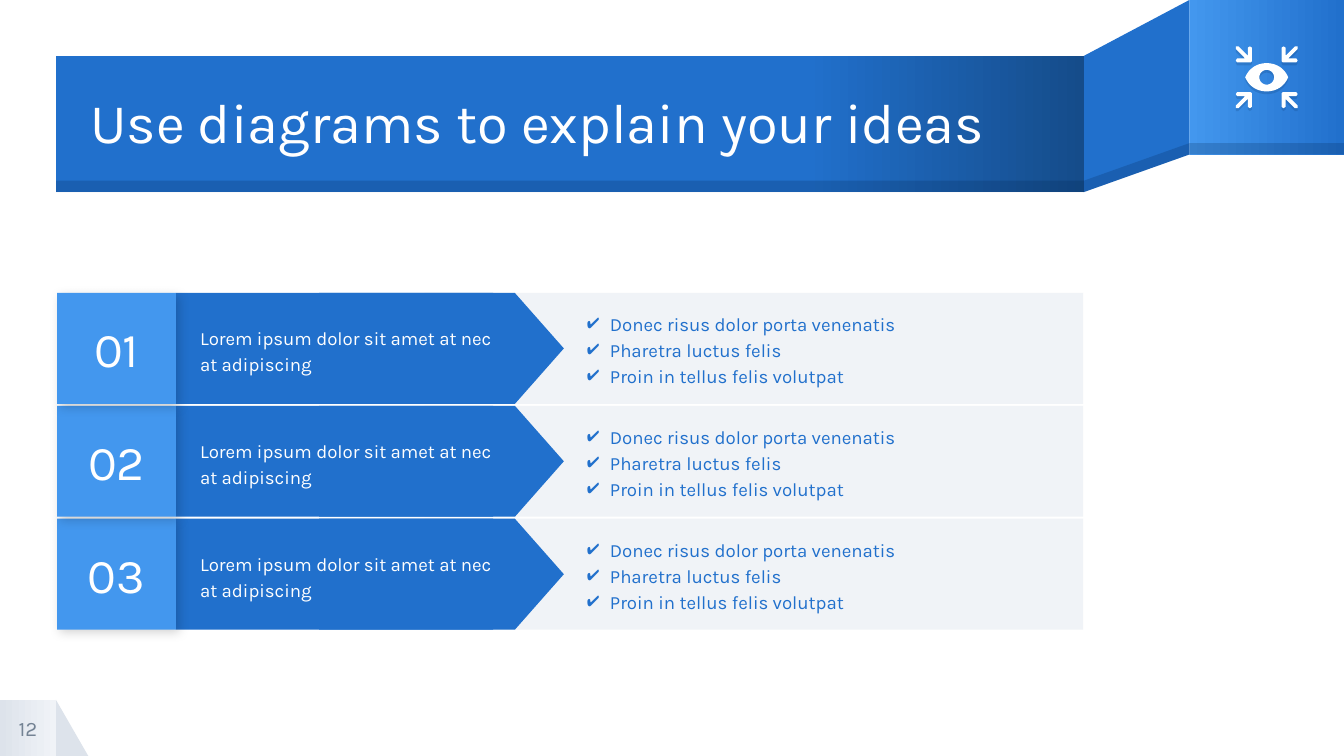
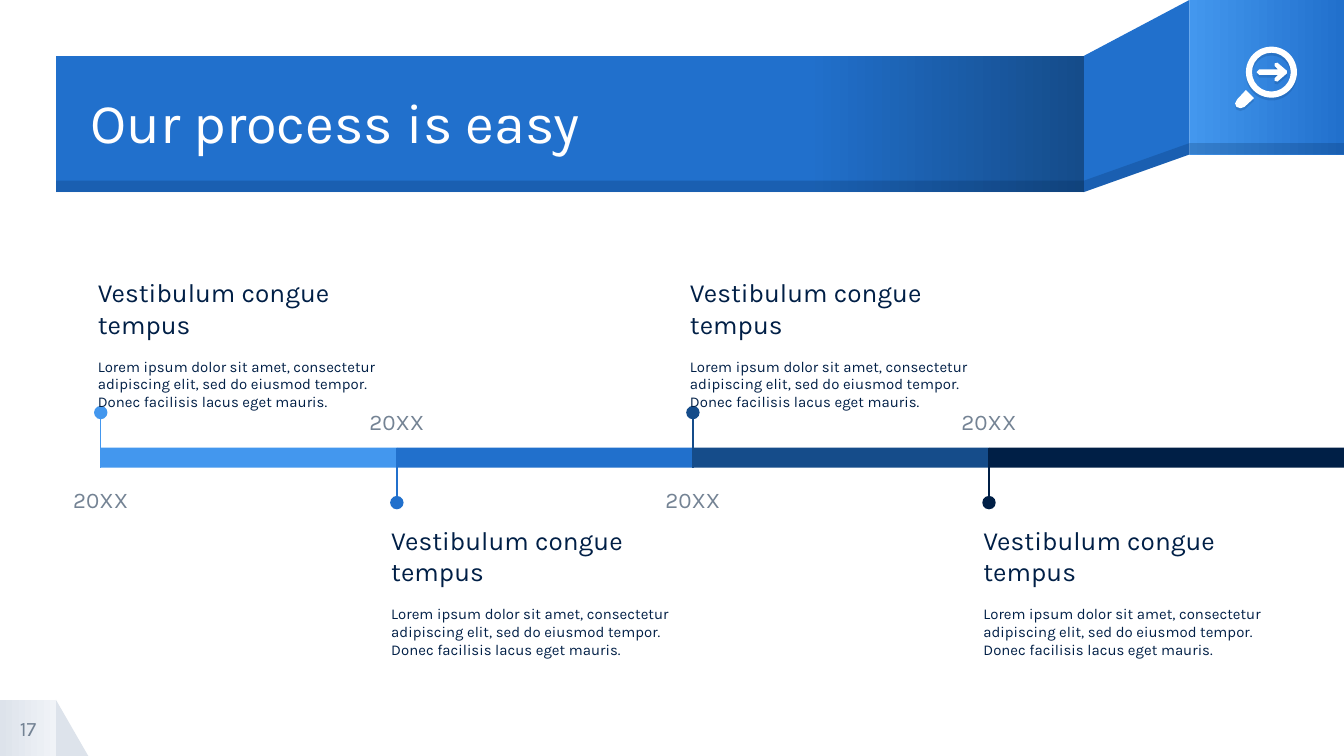
import math

import pptx
import pptx.util
from lxml import etree
from pptx.dml.color import RGBColor
from pptx.enum.shapes import MSO_CONNECTOR, MSO_SHAPE
from pptx.enum.text import MSO_ANCHOR, MSO_AUTO_SIZE, PP_ALIGN
from pptx.oxml.ns import qn

COLORS = {
    "white": "FFFFFF", "sky": "4397EE", "blue": "2170CC", "deep": "154C8A",
    "navy": "001F46", "pale": "F0F3F7", "mist": "DDE3EB", "gray": "748394",
    "black": "000000",
}
FONT = "Karla"

# Square grid: 100 columns across the slide, 56.25 rows down
COLUMNS, ROWS = 100, 56.25
CELL = pptx.util.Inches(0.1)

# Title band
BAND_LEFT, BAND_TOP, BAND_BOTTOM = 4.17, 4.17, 14.3
FOLD_LEFT, FOLD_RIGHT, PANEL_BOTTOM = 80.63, 88.5, 11.5
EDGE = 0.85
BAND_WIDTH = FOLD_LEFT - BAND_LEFT
PANEL_WIDTH = COLUMNS - FOLD_RIGHT
CORNER = 4.17


def grid(*cells):
    return [round(cell * CELL) for cell in cells]


def rgb(color):
    return RGBColor.from_string(COLORS[color])


# Fills and effects
def add_color(parent, color, alpha=None):
    element = etree.SubElement(parent, qn("a:srgbClr"), val=COLORS[color])
    if alpha is not None:
        etree.SubElement(element, qn("a:alpha"), val=str(alpha * 1000))


def paint(shape, color, alpha=None):
    """Fill with one colour, or with a list of (percent, colour) stops."""
    shape.shadow.inherit = False
    shape.line.fill.background()
    if isinstance(color, list):
        shape.fill.gradient()
        shape.fill.gradient_angle = 0
        stops = shape._element.spPr.find(".//" + qn("a:gsLst"))
        for stop in list(stops):
            stops.remove(stop)
        for percent, name in color:
            add_color(etree.SubElement(stops, qn("a:gs"), pos=str(percent * 1000)), name)
        return
    shape.fill.solid()
    shape.fill.fore_color.rgb = rgb(color)
    if alpha is not None:
        value = shape._element.spPr.find(qn("a:solidFill")).find(qn("a:srgbClr"))
        etree.SubElement(value, qn("a:alpha"), val=str(alpha * 1000))


def add_shadow(shape, color, alpha, blur, distance, angle):
    effects = shape._element.spPr.find(qn("a:effectLst"))
    shadow = etree.SubElement(
        effects, qn("a:outerShdw"), blurRad=str(pptx.util.Pt(blur)),
        dist=str(pptx.util.Pt(distance)), dir=str(angle * 60000),
        algn="bl", rotWithShape="0")
    add_color(shadow, color, alpha)


# Shapes
def add_block(slide, box, color, kind=MSO_SHAPE.RECTANGLE, alpha=None):
    shape = slide.shapes.add_shape(kind, *grid(*box))
    paint(shape, color, alpha)
    return shape


def add_outline(slide, contours, color, alpha=None):
    builder = None
    for contour in contours:
        points = [grid(*point) for point in contour]
        if builder is None:
            builder = slide.shapes.build_freeform(*points[0], scale=1.0)
        else:
            builder.move_to(*points[0])
        builder.add_line_segments(points[1:], close=True)
    shape = builder.convert_to_shape()
    paint(shape, color, alpha)
    return shape


def add_stem(slide, x, top, bottom, color):
    left, start, end = grid(x, top, bottom)
    stem = slide.shapes.add_connector(MSO_CONNECTOR.STRAIGHT, left, start, left, end)
    stem.line.color.rgb = rgb(color)
    stem.line.width = pptx.util.Pt(0.75)
    etree.SubElement(stem._element.spPr, qn("a:effectLst"))


# Text
def set_frame(shape, inset=1, anchor=MSO_ANCHOR.MIDDLE):
    frame = shape.text_frame
    frame.word_wrap = True
    frame.auto_size = MSO_AUTO_SIZE.NONE
    frame.vertical_anchor = anchor
    margin, = grid(inset)
    frame.margin_left = frame.margin_right = margin
    frame.margin_top = frame.margin_bottom = margin
    return frame


def write(paragraph, text, size, color, align=PP_ALIGN.LEFT, spacing=None):
    paragraph.text = text
    paragraph.alignment = align
    if spacing:
        paragraph.line_spacing = spacing
    for run in paragraph.runs:
        run.font.name = FONT
        run.font.size = pptx.util.Pt(size)
        run.font.color.rgb = rgb(color)


def add_text(slide, box, texts, size, color, inset=1, anchor=MSO_ANCHOR.MIDDLE, **style):
    frame = set_frame(slide.shapes.add_textbox(*grid(*box)), inset, anchor)
    for index, text in enumerate(texts):
        paragraph = frame.add_paragraph() if index else frame.paragraphs[0]
        write(paragraph, text, size, color, **style)
    return frame


def add_check(paragraph, color):
    properties = paragraph._p.get_or_add_pPr()
    properties.set("marL", str(pptx.util.Inches(0.35)))
    properties.set("indent", str(pptx.util.Inches(-0.17)))
    add_color(etree.SubElement(properties, qn("a:buClr")), color)
    etree.SubElement(properties, qn("a:buChar"), char="✔")


# Parts that both slides share
def draw_band(slide):
    corner_top = ROWS - CORNER
    add_block(slide, (CORNER, corner_top, 2.4, CORNER), "mist", MSO_SHAPE.RIGHT_TRIANGLE)
    add_block(slide, (0, corner_top, CORNER, CORNER), [(0, "mist"), (100, "pale")])
    add_outline(slide, [[(FOLD_RIGHT, 0), (FOLD_LEFT, BAND_TOP),
                         (FOLD_LEFT, BAND_BOTTOM), (FOLD_RIGHT, PANEL_BOTTOM)]], "blue")
    add_block(slide, (FOLD_RIGHT, 0, PANEL_WIDTH, PANEL_BOTTOM),
              [(0, "sky"), (100, "blue")])
    add_block(slide, (BAND_LEFT, BAND_TOP, BAND_WIDTH, BAND_BOTTOM - BAND_TOP),
              [(0, "blue"), (73, "blue"), (100, "deep")])
    # Darker lower edge
    add_outline(slide, [[(FOLD_RIGHT, PANEL_BOTTOM - EDGE), (FOLD_LEFT, BAND_BOTTOM - EDGE),
                         (FOLD_LEFT, BAND_BOTTOM), (FOLD_RIGHT, PANEL_BOTTOM)]], "navy", 20)
    for left, bottom, width in ((FOLD_RIGHT, PANEL_BOTTOM, PANEL_WIDTH),
                                (BAND_LEFT, BAND_BOTTOM, BAND_WIDTH)):
        add_block(slide, (left, bottom - EDGE, width, EDGE), "navy", alpha=20)


def move_band_to_layout(slide, layout):
    for placeholder in list(layout.placeholders):
        if placeholder.placeholder_format.idx:
            placeholder._element.getparent().remove(placeholder._element)
    for shape in list(slide.shapes):
        if not shape.is_placeholder:
            layout.shapes._spTree.append(shape._element)


def set_title(slide, title, number):
    shape = slide.shapes.title
    shape.left, shape.top, shape.width, shape.height = grid(6.7, 4.3, 73.9, 10.1)
    write(set_frame(shape, 0).paragraphs[0], title, 30, "white", spacing=0.9)
    add_text(slide, (0, ROWS - CORNER, CORNER, CORNER), [number], 11, "gray",
             inset=0, align=PP_ALIGN.CENTER)


# Icons
def shade_icon(*shapes):
    for shape in shapes:
        add_shadow(shape, "navy", 15, 0, 1.5, 90)


def draw_eye_icon(slide):
    x, y = 94.25, 5.75
    steps = 12
    lid = []
    for step in range(2 * steps + 1):
        t = abs(1 - step / steps)
        across = 3 * (1 - t) * t * t * 1.3 + 3 * (1 - t) ** 2 * t * 0.7 + t ** 3 * 1.6
        rise = 3 * (1 - t) * t * t * 0.7 + 3 * (1 - t) ** 2 * t * 1.05 + (1 - t) ** 3 * 1.05
        lid.append((across if step < steps else -across, rise))
    eye = [(x + a, y - b) for a, b in lid] + [(x + a, y + b) for a, b in reversed(lid)]
    turns = [2 * math.pi * step / 32 for step in range(32)]
    pupil = [(x + 0.55 * math.cos(turn), y + 0.55 * math.sin(turn)) for turn in turns]
    shade_icon(add_outline(slide, [eye, pupil], "white"))

    arrow = [(1.2, 1.1), (2.2, 1.1), (2.3, 1.25), (2.2, 1.4), (1.6, 1.4), (2.3, 2.1),
             (2.3, 2.3), (2.1, 2.3), (1.4, 1.6), (1.4, 2.2), (1.25, 2.3), (1.1, 2.2),
             (1.1, 1.2)]
    for side, level in ((1, -1), (-1, -1), (1, 1), (-1, 1)):
        points = [(x + side * a, y + level * b) for a, b in arrow]
        shade_icon(add_outline(slide, [points], "white"))


def draw_magnifier_icon(slide):
    handle = [(92.7, 6.7), (93.3, 7.3), (92.6, 7.95), (92.3, 8.05), (92, 7.95),
              (91.9, 7.7), (92.05, 7.4)]
    half_arrow = [(93.5, 0), (93.7, 0.2), (95.1, 0.2), (94.85, 0.45), (94.85, 0.65),
                  (95.05, 0.7), (95.75, 0.1)]
    arrow = [(x, 5.37 - dy) for x, dy in half_arrow]
    arrow += [(x, 5.37 + dy) for x, dy in reversed(half_arrow)]
    lens = add_block(slide, (92.7, 3.47, 3.8, 3.8), "white", MSO_SHAPE.DONUT)
    lens.adjustments[0] = 0.12
    shade_icon(add_outline(slide, [handle], "white"), lens,
               add_outline(slide, [arrow], "white"))


# Slide content
def draw_step(slide, index, summary, points):
    top, height = 21.8 + 8.4 * index, 8.25
    add_block(slide, (31.6, top, 49, height), "pale")
    add_block(slide, (13.1, top, 23.6, height), "blue")
    # The pointer stands upright before it is turned to the right
    length, center_x = 18.2, 32.85
    pointer = add_block(
        slide, (center_x - height / 2, top + (height - length) / 2, height, length),
        "blue", MSO_SHAPE.FLOWCHART_OFFPAGE_CONNECTOR)
    pointer.rotation = 270
    add_text(slide, (13.9, top + 1, 24.9, 6.4), [summary], 10, "white", spacing=1.15)
    tile = add_block(slide, (4.25, top, 8.85, height), "sky")
    add_shadow(tile, "black", 17, 5.6, 2.2, 45)
    write(set_frame(tile).paragraphs[0], f"{index + 1:02}", 26, "white", PP_ALIGN.CENTER)
    frame = add_text(slide, (40.9, top, 38.1, height), points, 10, "blue", spacing=1.15)
    for paragraph in frame.paragraphs:
        add_check(paragraph, "blue")


def draw_milestone(slide, index, color, last, year, heading, body):
    step, bar_top, bar_height = 22.03, 33.3, 1.5
    x = 7.5 + step * index
    above = index % 2 == 0
    add_block(slide, (x, bar_top, COLUMNS - x if last else step, bar_height), color)
    if above:
        dot, year_top, text_left, text_top = 30.7, 34.9, x - 1.2, 19.6
        add_stem(slide, x, dot, bar_top + bar_height, color)
    else:
        dot, year_top, text_left, text_top = 37.4, 29.1, x - 1.4, 38
        add_stem(slide, x, bar_top, dot, color)
    add_block(slide, (x - 0.5, dot - 0.5, 1, 1), color, MSO_SHAPE.OVAL)
    add_text(slide, (x - 4.2, year_top, 8.4, 4.2), [year], 12, "gray",
             anchor=MSO_ANCHOR.TOP, align=PP_ALIGN.CENTER, spacing=1.15)
    frame = add_text(slide, (text_left, text_top, 25.3, 10.6), [heading], 14, "navy",
                     anchor=MSO_ANCHOR.TOP)
    paragraph = frame.add_paragraph()
    write(paragraph, body, 8, "navy")
    paragraph.space_before = pptx.util.Pt(9.4)


def main():
    presentation = pptx.Presentation()
    presentation.slide_width, presentation.slide_height = grid(COLUMNS, ROWS)
    layout = presentation.slide_layouts.get_by_name("Title Only")
    diagram, process = [presentation.slides.add_slide(layout) for _ in range(2)]
    for slide in (diagram, process):
        for placeholder in list(slide.placeholders):
            if placeholder.placeholder_format.idx:
                placeholder._element.getparent().remove(placeholder._element)
    draw_band(diagram)
    move_band_to_layout(diagram, layout)

    # Diagram with three steps; each tile's shadow falls on the row below
    set_title(diagram, "Use diagrams to explain your ideas", "12")
    draw_eye_icon(diagram)
    for index in reversed(range(3)):
        draw_step(diagram, index, "Lorem ipsum dolor sit amet at nec at adipiscing",
                  ["Donec risus dolor porta venenatis", "Pharetra luctus felis",
                   "Proin in tellus felis volutpat"])

    # Process timeline
    set_title(process, "Our process is easy", "17")
    draw_magnifier_icon(process)
    colors = ["sky", "blue", "deep", "navy"]
    for index, color in enumerate(colors):
        draw_milestone(process, index, color, color == colors[-1], "20XX",
                       "Vestibulum congue tempus",
                       "Lorem ipsum dolor sit amet, consectetur adipiscing elit, sed do "
                       "eiusmod tempor. Donec facilisis lacus eget mauris.")

    presentation.save("out.pptx")


if __name__ == "__main__":
    main()
